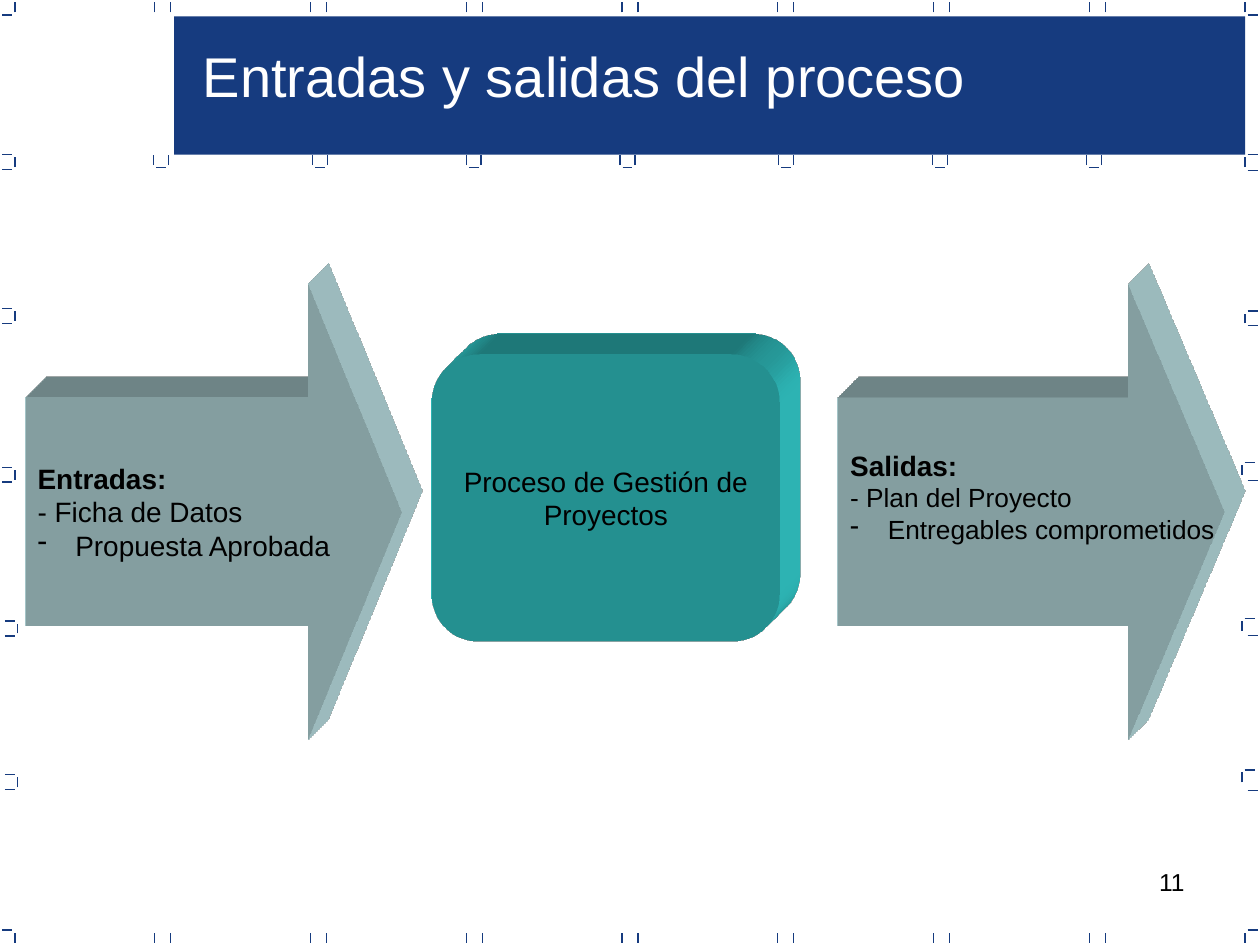
from lxml import etree
from pptx import Presentation
from pptx.dml.color import RGBColor
from pptx.enum.shapes import MSO_CONNECTOR, MSO_SHAPE
from pptx.enum.text import MSO_ANCHOR, PP_ALIGN
from pptx.oxml.ns import qn
from pptx.util import Cm, Pt

NAVY = RGBColor(0x16, 0x3B, 0x7F)
PALE_BLUE = RGBColor(0xBB, 0xE0, 0xE3)
TURQUOISE = RGBColor(0x33, 0xCC, 0xCC)
WHITE = RGBColor(0xFF, 0xFF, 0xFF)
BLACK = RGBColor(0, 0, 0)
RECTANGLE, ROUNDED = MSO_SHAPE.RECTANGLE, MSO_SHAPE.ROUNDED_RECTANGLE
ARROW = MSO_SHAPE.RIGHT_ARROW
STRAIGHT = MSO_CONNECTOR.STRAIGHT
LEFT, CENTER, RIGHT = PP_ALIGN.LEFT, PP_ALIGN.CENTER, PP_ALIGN.RIGHT
MIDDLE = MSO_ANCHOR.MIDDLE

TICK = 0.2
GAP = 0.05
EXTRUSION = """<a:x xmlns:a="http://schemas.openxmlformats.org/drawingml/2006/main">
<a:scene3d><a:camera prst="legacyObliqueTopRight"/><a:lightRig rig="legacyFlat3" dir="b"/></a:scene3d>
<a:sp3d extrusionH="430200" prstMaterial="legacyMatte">
<a:bevelT w="13500" h="13500" prst="angle"/><a:bevelB w="13500" h="13500" prst="angle"/>
<a:extrusionClr><a:srgbClr val="{}"/></a:extrusionClr></a:sp3d></a:x>"""


class SlideBuilder:
    def __init__(self, slide, font="Arial"):
        self.slide = slide
        self.font = font

    def line(self, x1, y1, x2, y2):
        tick = self.slide.shapes.add_connector(STRAIGHT, Cm(x1), Cm(y1), Cm(x2), Cm(y2))
        tick.line.color.rgb = NAVY
        tick.line.width = Pt(0.75)
        etree.SubElement(tick._element.spPr, qn("a:effectLst"))

    def across(self, x, y):
        self.line(x, y, x + TICK, y)

    def down(self, x, y):
        self.line(x, y + TICK, x, y)

    def shape(self, kind, box, fill, adjustments=()):
        shape = self.slide.shapes.add_shape(kind, *map(Cm, box))
        shape.shadow.inherit = False
        shape.fill.solid()
        shape.fill.fore_color.rgb = fill
        shape.line.fill.background()
        for index, value in enumerate(adjustments):
            shape.adjustments[index] = value
        return shape

    def block(self, kind, box, fill, adjustments):
        """Add a shape extruded towards the top right."""
        shape = self.shape(kind, box, fill, adjustments)
        shape.text_frame.vertical_anchor = MIDDLE
        for part in list(etree.fromstring(EXTRUSION.format(fill))):
            shape._element.spPr.append(part)
        return shape

    def run(self, paragraph, text, size, color=BLACK, bold=False):
        run = paragraph.add_run()
        run.text = text
        style = {"name": self.font, "size": Pt(size), "bold": bold}
        for attribute, value in style.items():
            setattr(run.font, attribute, value)
        run.font.color.rgb = color

    def text(self, box, text, size, color=BLACK, align=LEFT):
        frame = self.slide.shapes.add_textbox(*map(Cm, box)).text_frame
        frame.word_wrap = True
        frame.paragraphs[0].alignment = align
        self.run(frame.paragraphs[0], text, size, color)

    def arrow(self, box, heading, first, second, size, bottom=0.13):
        frame = self.block(ARROW, box, PALE_BLUE, (0.5, 0.25)).text_frame
        frame.word_wrap = False
        frame.margin_bottom = Cm(bottom)
        intro = frame.paragraphs[0]
        self.run(intro, heading, 16, bold=True)
        intro.add_line_break()
        self.run(intro, first, size)
        item = frame.add_paragraph()
        self.run(item, second, size)
        properties = item._p.get_or_add_pPr()
        for attribute, value in {"marL": Cm(0.76), "indent": -Cm(0.76)}.items():
            properties.set(attribute, str(int(value)))
        etree.SubElement(properties, qn("a:buChar")).set("char", "-")
        for paragraph in frame.paragraphs:
            paragraph.alignment = LEFT


def draw_border(builder):
    pairs = [3.12 + 3.14 * i + side for i in range(7) for side in (0, 0.32)]
    for y in (0.05, 18.8):
        for x in [0.3, *pairs, 25.1]:
            builder.down(x, y)
    for y in (0.3, 18.75):
        for x in (0.05, 25.15):
            builder.across(x, y)

    for x, y in zip((0.05, 0.05, 0.05, 0.1, 0.1), (3.12, 6.22, 9.42, 12.52, 15.62)):
        builder.across(x, y)
        builder.down(x + TICK + GAP, y + GAP)
        builder.across(x, y + TICK + 2 * GAP)

    right_marks = zip((25.1, 25.1, 25.04, 25.04, 25.04), (3.12, 6.27, 9.32, 12.47, 15.52))
    for row, (x, y) in enumerate(right_marks):
        builder.across(x + GAP, y)
        builder.down(x, y + GAP)
        builder.across(25.15, 3.43 + 3.125 * row)

    for x in (3.1, 6.3, 9.4, 12.5, 15.7, 18.8, 21.9):
        builder.down(x, 3.13)
        builder.down(x + TICK + 2 * GAP, 3.13)
        builder.across(x + GAP, 3.38)


def main():
    deck = Presentation()
    deck.slide_width, deck.slide_height = Cm(25.4), Cm(19.05)
    builder = SlideBuilder(deck.slides.add_slide(deck.slide_layouts[6]))

    draw_border(builder)
    builder.shape(RECTANGLE, (3.51, 0.33, 21.59, 2.79), NAVY)
    builder.text((3.84, 0.71, 17.27, 1.6), "Entradas y salidas del proceso", 32, WHITE)
    builder.text((18.21, 17.35, 5.92, 1.32), "11", 14, align=RIGHT)

    builder.arrow((0.51, 5.72, 7.59, 9.19), "Entradas:", "- Ficha de Datos",
                  "Propuesta Aprobada", 16)
    process = builder.block(ROUNDED, (8.71, 7.14, 7.01, 5.79), TURQUOISE, (0.167,)).text_frame
    process.word_wrap = True
    process.paragraphs[0].alignment = CENTER
    builder.run(process.paragraphs[0], "Proceso de Gestión de Proyectos", 16)
    builder.arrow((16.89, 5.72, 7.8, 9.19), "Salidas:", "- Plan del Proyecto",
                  "Entregables comprometidos", 15, bottom=0.74)

    deck.save("out.pptx")


if __name__ == "__main__":
    main()
